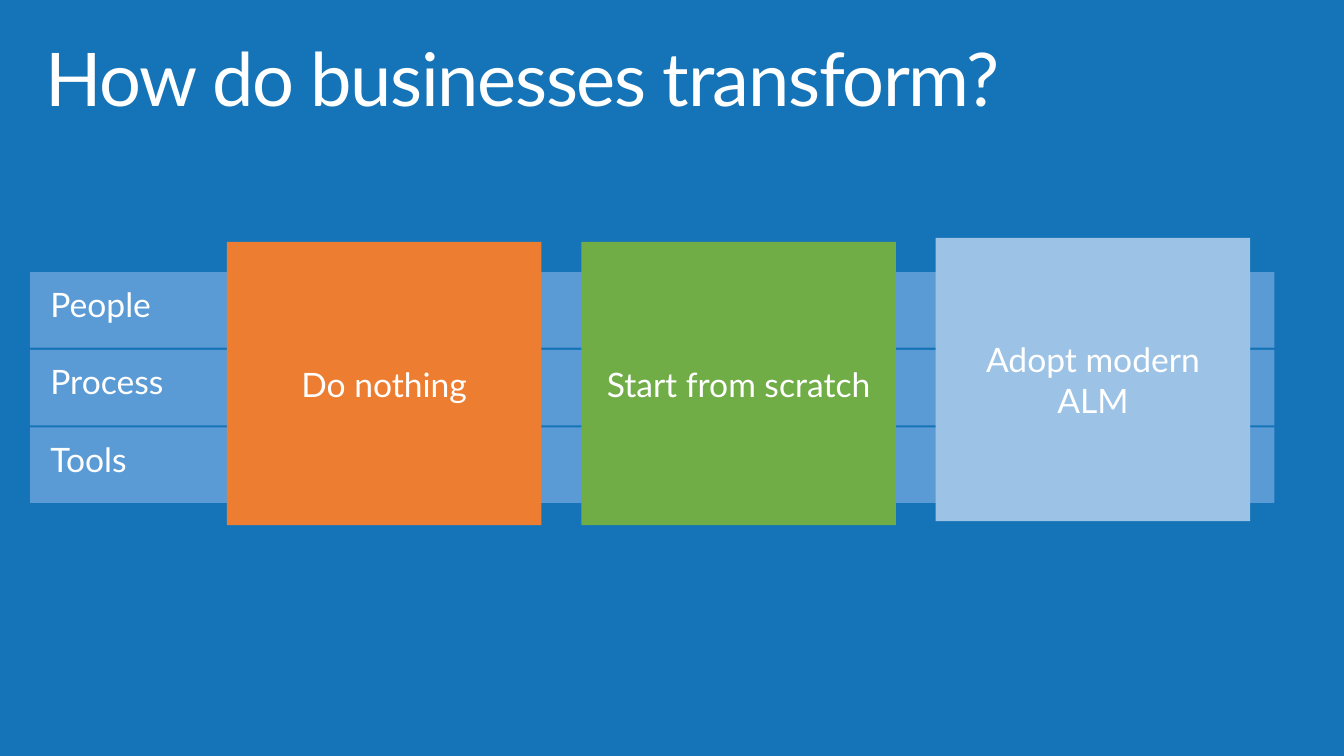
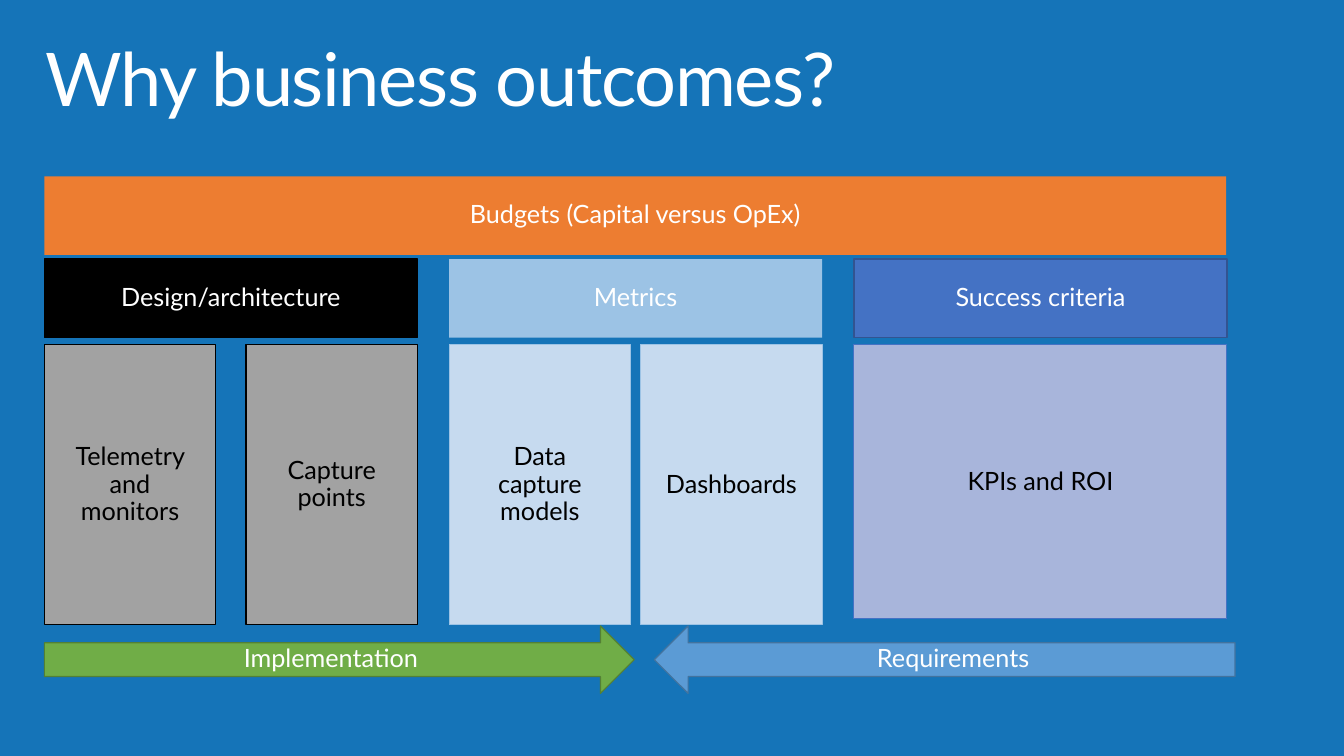
from pptx import Presentation
from pptx.dml.color import RGBColor
from pptx.enum.shapes import MSO_SHAPE as Geo
from pptx.enum.text import MSO_ANCHOR as Anchor, PP_ALIGN as Align
from pptx.util import Inches, Pt

# Shared look
FONT = "Lato"
BACK, WHITE, BLACK = "1574B8", "FFFFFF", "000000"
BLUE, ORANGE, GREEN = "5B9BD5", "ED7D31", "70AD47"
PALE, NAVY = "9CC3E5", "4472C4"
TITLE_BOX = (0.29, 0.32, 12.62, 0.98)


def color(code):
    return RGBColor.from_string(code)


def write(shape, text, size, ink=WHITE, align=Align.CENTER,
          anchor=Anchor.MIDDLE, lead=0.9, pad=(0.2, 0.16), track=0):
    """Fill a shape with text, one paragraph per line."""
    frame = shape.text_frame
    frame.word_wrap = True
    frame.vertical_anchor = anchor
    frame.margin_left = frame.margin_right = Inches(pad[0])
    frame.margin_top = frame.margin_bottom = Inches(pad[1])
    for i, line in enumerate(text.split("\n")):
        para = frame.add_paragraph() if i else frame.paragraphs[0]
        para.alignment = align
        para.line_spacing = lead
        run = para.add_run()
        run.text = line
        font = run.font
        font.name, font.size = FONT, Pt(size)
        font.color.rgb = color(ink)
        if track:
            run._r.get_or_add_rPr().set("spc", str(track))


def block(slide, box, text, fill, line=None, weight=0.75, geo=Geo.RECTANGLE,
          size=18, **style):
    shape = slide.shapes.add_shape(geo, *map(Inches, box))
    shape.shadow.inherit = False
    shape.fill.solid()
    shape.fill.fore_color.rgb = color(fill)
    if line:
        shape.line.color.rgb = color(line)
        shape.line.width = Pt(weight)
    else:
        shape.line.fill.background()
    write(shape, text, size, **style)


def start(deck, title):
    """Add a slide with the shared background and title."""
    slide = deck.slides.add_slide(deck.slide_layouts[6])
    slide.background.fill.solid()
    slide.background.fill.fore_color.rgb = color(BACK)
    head = slide.shapes.add_textbox(*map(Inches, TITLE_BOX))
    write(head, title, 52.9, align=Align.LEFT, anchor=Anchor.TOP,
          pad=(0.16, 0.1), track=-100)
    return slide


def bands(slide, box, names, gap=0.02):
    """Stack full-width rows in the box."""
    left, top, width, height = box
    tall = (height - gap * (len(names) - 1)) / len(names)
    for i, name in enumerate(names):
        block(slide, (left, top + i * (tall + gap), width, tall), name, BLUE,
              size=24, align=Align.LEFT, anchor=Anchor.TOP)


def tiles(slide, box, items, wide=3.12):
    """Spread tiles evenly over the box; each may be lifted a little."""
    left, top, width, height = box
    step = (width - wide) / (len(items) - 1)
    for i, (name, fill, lift) in enumerate(items):
        block(slide, (left + i * step, top - lift, wide, height), name, fill,
              size=24, lead=1.0)


def pillar(slide, box, head, cells, gap, tall):
    """Put a header over a row of equal cells."""
    left, top, width, height = box
    name, fill, edge = head
    block(slide, (left, top, width, 0.78), name, fill, edge, 0.85)
    names, tint, rim = cells
    wide = (width - gap * (len(names) - 1)) / len(names)
    for i, label in enumerate(names):
        block(slide, (left + i * (wide + gap), top + height - 2.78, wide, tall),
              label, tint, rim, ink=BLACK)


def pillars(slide, box, items, wide=3.7):
    left, top, width, height = box
    step = (width - wide) / (len(items) - 1)
    for i, item in enumerate(items):
        pillar(slide, (left + i * step, top, wide, height), *item)


def arrows(slide, top, items, tall=0.67):
    for left, wide, name, geo, fill, edge in items:
        block(slide, (left, top, wide, tall), name, fill, edge, 0.85, geo)


def change(deck):
    slide = start(deck, "How do businesses transform?")
    bands(slide, (0.3, 2.7, 12.34, 2.29), ["People", "Process", "Tools"])
    tiles(slide, (2.25, 2.4, 10.15, 2.81), [
        ("Do nothing", ORANGE, 0),
        ("Start from scratch", GREEN, 0),
        ("Adopt modern ALM", PALE, 0.04),
    ])


def outcomes(deck):
    slide = start(deck, "Why business outcomes?")
    block(slide, (0.44, 1.75, 11.72, 0.78), "Budgets (Capital versus OpEx)",
          ORANGE)
    # Header, cells, gap between cells, cell height
    pillars(slide, (0.44, 2.57, 11.73, 3.63), [
        (("Design/architecture", BLACK, BLACK),
         (["Telemetry and\nmonitors", "Capture points"], "A2A2A2", BLACK),
         0.3, 2.78),
        (("Metrics", PALE, None),
         (["Data capture models", "Dashboards"], "C6DAEF", PALE), 0.1, 2.78),
        (("Success criteria", NAVY, "325491"),
         (["KPIs and ROI"], "A8B5DB", NAVY), 0, 2.72),
    ])
    arrows(slide, 6.21, [
        (0.44, 5.85, "Implementation", Geo.RIGHT_ARROW, GREEN, "538035"),
        (6.49, 5.76, "Requirements", Geo.LEFT_ARROW, BLUE, "43739E"),
    ])


def main():
    deck = Presentation()
    deck.slide_width, deck.slide_height = Inches(13.33), Inches(7.5)
    change(deck)
    outcomes(deck)
    deck.save("out.pptx")


if __name__ == "__main__":
    main()
